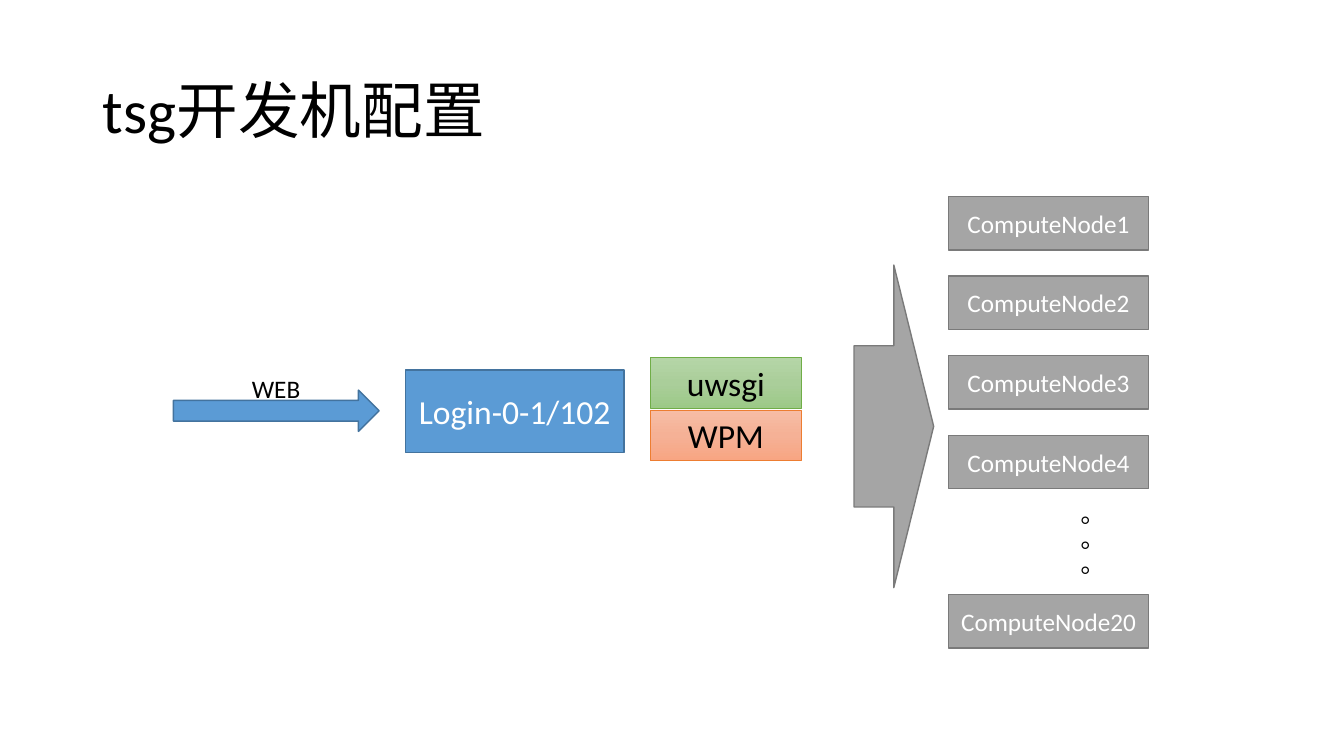
"""Build the slide that shows the tsg development machine setup."""
from copy import deepcopy

from pptx import Presentation
from pptx.dml.color import RGBColor
from pptx.enum import shapes, text
from pptx.oxml.ns import qn
from pptx.util import Inches, Pt

COLORS = {
    "black": "000000", "white": "FFFFFF",
    "blue": "5B9BD5", "blue_line": "43739E",
    "gray": "A5A5A5", "gray_line": "7A7A7A",
    "green_line": "70AD47", "orange_line": "ED7D31",
}
FONT = "Calibri"
TITLE = "tsg开发机配置"
LOGIN = "Login-0-1/102"
SERVICES = [
    ("uwsgi", ["B5D5A7", "AACE9A", "9CC987"], "green_line"),
    ("WPM", ["F7BDA5", "F5B196", "F8A582"], "orange_line"),
]
NODES = [(0, "ComputeNode1"), (1, "ComputeNode2"), (2, "ComputeNode3"),
         (3, "ComputeNode4"), (5, "ComputeNode20")]
NODE_TOP, NODE_STEP = 1.95, 0.79
SERVICE_TOP, SERVICE_STEP = 3.55, 0.52


def rgb(name):
    return RGBColor.from_string(COLORS.get(name, name))


def write(shape, content, size=18, color="black", align=text.PP_ALIGN.LEFT,
          anchor=text.MSO_ANCHOR.MIDDLE, spacing=None):
    frame = shape.text_frame
    frame.word_wrap = True
    frame.vertical_anchor = anchor
    paragraph = frame.paragraphs[0]
    paragraph.alignment = align
    paragraph.line_spacing = spacing
    run = paragraph.add_run()
    run.text = content
    run.font.name = FONT
    run.font.size = Pt(size)
    run.font.color.rgb = rgb(color)
    return frame


def add_block(slide, kind, box, fill, line, width=1):
    shape = slide.shapes.add_shape(kind, *map(Inches, box))
    shape.shadow.inherit = False
    if isinstance(fill, list):
        shape.fill.gradient()
        shape.fill.gradient_angle = 270
        stop_list = shape._element.spPr.find(".//" + qn("a:gsLst"))
        middle = deepcopy(stop_list[0])
        middle.set("pos", "50000")
        stop_list.insert(1, middle)
        for stop, color in zip(shape.fill.gradient_stops, fill):
            stop.color.rgb = rgb(color)
    else:
        shape.fill.solid()
        shape.fill.fore_color.rgb = rgb(fill)
    shape.line.color.rgb = rgb(line)
    shape.line.width = Pt(width)
    return shape


def main():
    presentation = Presentation()
    presentation.slide_width = Inches(13.33)
    presentation.slide_height = Inches(7.5)
    slide = presentation.slides.add_slide(presentation.slide_layouts[5])
    rectangle = shapes.MSO_SHAPE.RECTANGLE
    arrow = shapes.MSO_SHAPE.RIGHT_ARROW
    center = text.PP_ALIGN.CENTER
    top = text.MSO_ANCHOR.TOP

    title = slide.shapes.title
    title.left, title.top, title.width, title.height = map(
        Inches, (0.92, 0.4, 11.5, 1.45))
    write(title, TITLE, size=44, spacing=0.9)

    login = add_block(slide, rectangle, (4.02, 3.67, 2.17, 0.82), "blue", "blue_line")
    write(login, LOGIN, size=24, color="white", align=center)

    for index, (name, gradient, line) in enumerate(SERVICES):
        box = (6.45, SERVICE_TOP + index * SERVICE_STEP, 1.5, 0.5)
        service = add_block(slide, rectangle, box, gradient, line, width=0.5)
        write(service, name, size=24, align=center)

    add_block(slide, arrow, (1.72, 3.87, 2.04, 0.41), "blue", "blue_line")
    web = slide.shapes.add_textbox(*map(Inches, (2.4, 3.65, 0.93, 0.41)))
    write(web, "WEB", anchor=top)

    for slot, name in NODES:
        box = (9.41, NODE_TOP + slot * NODE_STEP, 1.98, 0.53)
        node = add_block(slide, rectangle, box, "gray", "gray_line")
        write(node, name, color="white", align=center)

    dots = slide.shapes.add_textbox(*map(Inches, (10.38, 5.01, 0.5, 0.82)))
    frame = write(dots, "。。。", anchor=top)
    frame.margin_bottom = 0
    frame._txBody.bodyPr.set("vert", "eaVert")

    add_block(slide, arrow, (8.47, 2.63, 0.79, 3.2), "gray", "gray_line")
    presentation.save("out.pptx")


if __name__ == "__main__":
    main()
